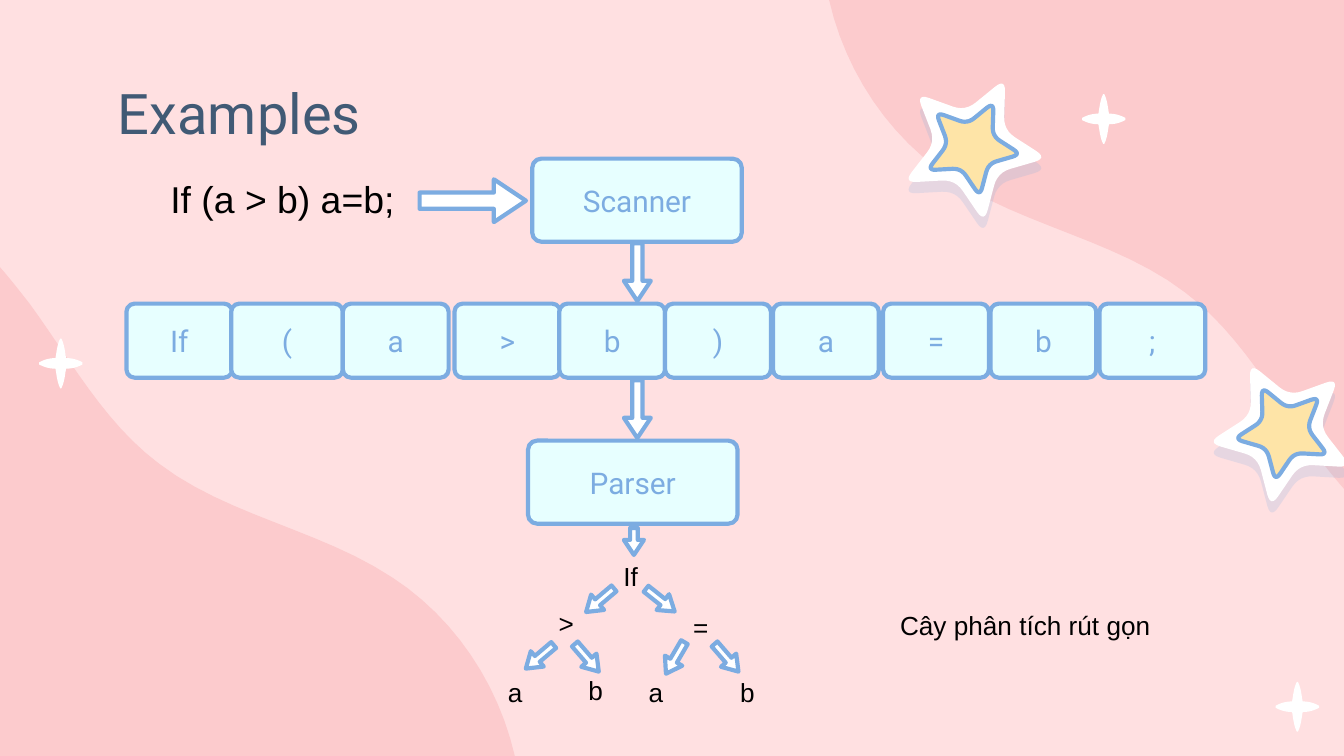
"""Builds the slide that shows a statement passing through scanner and parser."""
from dataclasses import dataclass
from math import cos, pi, radians, sin

from lxml.etree import SubElement
from pptx import Presentation
from pptx.dml.color import RGBColor
from pptx.enum.shapes import MSO_SHAPE
from pptx.enum.text import MSO_ANCHOR, MSO_AUTO_SIZE, PP_ALIGN
from pptx.oxml.ns import qn
from pptx.util import Cm, Pt

WIDTH, HEIGHT = 25.4, 14.29
BLUE, ICE, WHITE, YELLOW = "7CACE1", "E7FFFF", "FFFFFF", "FEE4A7"
PINK, PALE_PINK, NAVY, BLACK = "FCCBCD", "FFE0E1", "415A75", "000000"
Point = tuple[float, float]


@dataclass
class Box:
    text: str
    left: float
    top: float
    width: float = 2.0
    height: float = 1.4


@dataclass
class Label:
    text: str
    left: float
    top: float
    width: float
    height: float = 0.86
    size: int = 14


@dataclass
class Arrow:
    left: float
    top: float
    angle: float
    width: float = 0.38
    height: float = 0.69


TOKENS = [
    Box("If", 2.39, 5.74), Box("(", 4.37, 5.74, 2.11), Box("a", 6.48, 5.74),
    Box(">", 8.59, 5.74), Box("b", 10.57, 5.74), Box(")", 12.57, 5.74),
    Box("a", 14.61, 5.74), Box("=", 16.69, 5.74), Box("b", 18.72, 5.74),
    Box(";", 20.78, 5.74),
]
STAGES = [Box("Scanner", 10.06, 3.0, 3.96, 1.57), Box("Parser", 9.98, 8.33, 3.96, 1.57)]
FLOW = [
    Arrow(11.79, 4.6, 180, 0.51, 1.09), Arrow(11.79, 7.19, 180, 0.51, 1.09),
    Arrow(8.53, 2.79, 90, 0.81, 2.01), Arrow(11.79, 9.98, 180, 0.38, 0.51),
]
BRANCHES = [
    Arrow(11.15, 11, 229.7), Arrow(12.29, 11, 128.4), Arrow(10.01, 12.07, 229.7),
    Arrow(10.9, 12.09, 139.1), Arrow(12.57, 12.09, 210.3), Arrow(13.54, 12.09, 139.1),
]
LABELS = [
    Label("If (a > b) a=b;", 2.97, 3.2, 5.97, 1.12, 20),
    Label("If", 11.53, 10.46, 1.04), Label(">", 10.31, 11.35, 1.02),
    Label("=", 12.85, 11.43, 0.71), Label("a", 9.35, 12.65, 0.76),
    Label("b", 10.87, 12.62, 1.04), Label("a", 12.01, 12.65, 0.71),
    Label("b", 13.74, 12.65, 0.71), Label("Cây phân tích rút gọn", 16.76, 11.38, 6.32),
]
WAVE = [
    ((9.73, 14.29), (9.42, 12.93), (8.59, 11.68), (7.42, 10.92)),
    ((7.42, 10.92), (6.05, 10.01), (4.29, 9.75), (3, 8.76)),
    ((3, 8.76), (1.96, 7.98), (1.32, 6.78), (0.56, 5.74)),
    ((0.56, 5.74), (0.38, 5.51), (0.2, 5.28), (0, 5.05)),
]
SPARKLE_ARM = [
    ((0.01, -0.47), (0.07, -0.36), (0.08, -0.2), (0.1, -0.1)),
    ((0.1, -0.1), (0.2, -0.1), (0.3, -0.08), (0.41, -0.02)),
]


def colour(value: str) -> RGBColor:
    """Turns a hex string into a colour."""
    return RGBColor.from_string(value)


def paint(shape, fill: str, line: str | None = None) -> None:
    """Sets fill and outline and drops the theme shadow."""
    shape.shadow.inherit = False
    shape.fill.solid()
    shape.fill.fore_color.rgb = colour(fill)
    if line:
        shape.line.color.rgb = colour(line)
        shape.line.width = Pt(2.25)
    else:
        shape.line.fill.background()


def write(frame, text: str, *, size: int, font: str = "Arial", ink: str = BLACK,
          align=PP_ALIGN.LEFT, anchor=MSO_ANCHOR.TOP, inset: float = 0.13,
          fit=MSO_AUTO_SIZE.NONE) -> None:
    """Puts one formatted line into a text frame."""
    frame.word_wrap, frame.auto_size, frame.vertical_anchor = True, fit, anchor
    frame.margin_left = frame.margin_right = Cm(0.25)
    frame.margin_top = frame.margin_bottom = Cm(inset)
    paragraph = frame.paragraphs[0]
    paragraph.alignment = align
    run = paragraph.add_run()
    run.text = text
    run.font.size, run.font.name = Pt(size), font
    run.font.color.rgb = colour(ink)


def bezier(controls: tuple[Point, ...], t: float) -> Point:
    """Finds the point of a curve at t by repeated interpolation."""
    while len(controls) > 1:
        controls = tuple((a + (c - a) * t, b + (d - b) * t)
                         for (a, b), (c, d) in zip(controls, controls[1:]))
    return controls[0]


def trace(curves: list, steps: int = 12) -> list[Point]:
    """Samples a chain of curves."""
    return [bezier(curve, step / steps) for curve in curves for step in range(steps + 1)]


def draw_outline(slide, points: list[Point], fill: str, line: str | None = None):
    """Draws a closed outline."""
    first, *rest = [(Cm(x), Cm(y)) for x, y in points]
    builder = slide.shapes.build_freeform(*first)
    builder.add_line_segments(rest, close=True)
    outline = builder.convert_to_shape()
    paint(outline, fill, line)
    return outline


def draw_sparkle(slide, x: float, y: float) -> None:
    """Draws a four-pointed sparkle around a centre."""
    arm = trace(SPARKLE_ARM, 6)
    turns = [(1, 1, arm), (1, -1, arm[::-1]), (-1, -1, arm), (-1, 1, arm[::-1])]
    draw_outline(slide, [(x + i * a, y + j * b) for i, j, part in turns for a, b in part], WHITE)


def star_points(x: float, y: float, angle: float, scale: float) -> list[Point]:
    """Returns a five-pointed star with rounded corners."""
    radii = (1.45 * scale, 0.69 * scale)
    corners = [(x + radii[k % 2] * cos(radians(angle) + k * pi / 5),
                y + radii[k % 2] * sin(radians(angle) + k * pi / 5)) for k in range(10)]
    curves = []
    for k, corner in enumerate(corners):
        before, after = corners[k - 1], corners[(k + 1) % 10]
        curves.append((bezier((corner, before), 0.26), corner, bezier((corner, after), 0.26)))
    return trace(curves, 6)


def draw_star(slide, x: float, y: float, angle: float) -> None:
    """Draws a white star with a soft shadow and a yellow star on it."""
    back = draw_outline(slide, star_points(x, y, angle, 1), WHITE)
    effects = back._element.spPr.find(qn("a:effectLst"))
    shadow = SubElement(effects, qn("a:outerShdw"), dist=str(Pt(6)), dir="5400000",
                        algn="bl", rotWithShape="0")
    tint = SubElement(shadow, qn("a:srgbClr"), val=BLUE)
    SubElement(tint, qn("a:alpha"), val="19000")
    draw_outline(slide, star_points(x, y, angle, 0.65), YELLOW, BLUE)


def draw_box(slide, box: Box) -> None:
    """Draws a rounded box with its text."""
    shape = slide.shapes.add_shape(MSO_SHAPE.ROUNDED_RECTANGLE, Cm(box.left), Cm(box.top),
                                   Cm(box.width), Cm(box.height))
    shape.adjustments[0] = 0.11
    paint(shape, ICE, BLUE)
    write(shape.text_frame, box.text, size=16, font="Roboto", ink=BLUE,
          align=PP_ALIGN.CENTER, anchor=MSO_ANCHOR.MIDDLE, inset=0.25)


def draw_arrow(slide, arrow: Arrow) -> None:
    """Draws a turned block arrow."""
    shape = slide.shapes.add_shape(MSO_SHAPE.UP_ARROW, Cm(arrow.left), Cm(arrow.top),
                                   Cm(arrow.width), Cm(arrow.height))
    shape.adjustments[0], shape.adjustments[1] = 0.38, 0.75
    shape.rotation = arrow.angle
    paint(shape, WHITE, BLUE)


def draw_label(slide, label: Label) -> None:
    """Draws plain text."""
    area = slide.shapes.add_textbox(Cm(label.left), Cm(label.top),
                                    Cm(label.width), Cm(label.height))
    write(area.text_frame, label.text, size=label.size, fit=MSO_AUTO_SIZE.SHAPE_TO_FIT_TEXT)


def main() -> None:
    """Builds and saves the slide."""
    deck = Presentation()
    deck.slide_width, deck.slide_height = Cm(WIDTH), Cm(HEIGHT)
    slide = deck.slides.add_slide(deck.slide_layouts[5])
    slide.background.fill.solid()
    slide.background.fill.fore_color.rgb = colour(PALE_PINK)
    title = slide.shapes.title
    title.left, title.top, title.width, title.height = Cm(1.98), Cm(1.24), Cm(15.34), Cm(1.6)
    write(title.text_frame, "Examples", size=30, font="Roboto", ink=NAVY, inset=0.25)

    wave = trace(WAVE) + [(0, HEIGHT)]
    draw_outline(slide, wave, PINK)
    draw_outline(slide, [(WIDTH - x, HEIGHT - y) for x, y in wave], PINK)
    for x, y in [(1.15, 6.87), (24.52, 13.36), (20.86, 2.25)]:
        draw_sparkle(slide, x, y)
    draw_star(slide, 18.36, 2.78, -63.7)
    draw_star(slide, 24.26, 8.16, -116.3)
    for box in TOKENS + STAGES:
        draw_box(slide, box)
    for arrow in FLOW + BRANCHES:
        draw_arrow(slide, arrow)
    for label in LABELS:
        draw_label(slide, label)
    deck.save("out.pptx")


if __name__ == "__main__":
    main()
